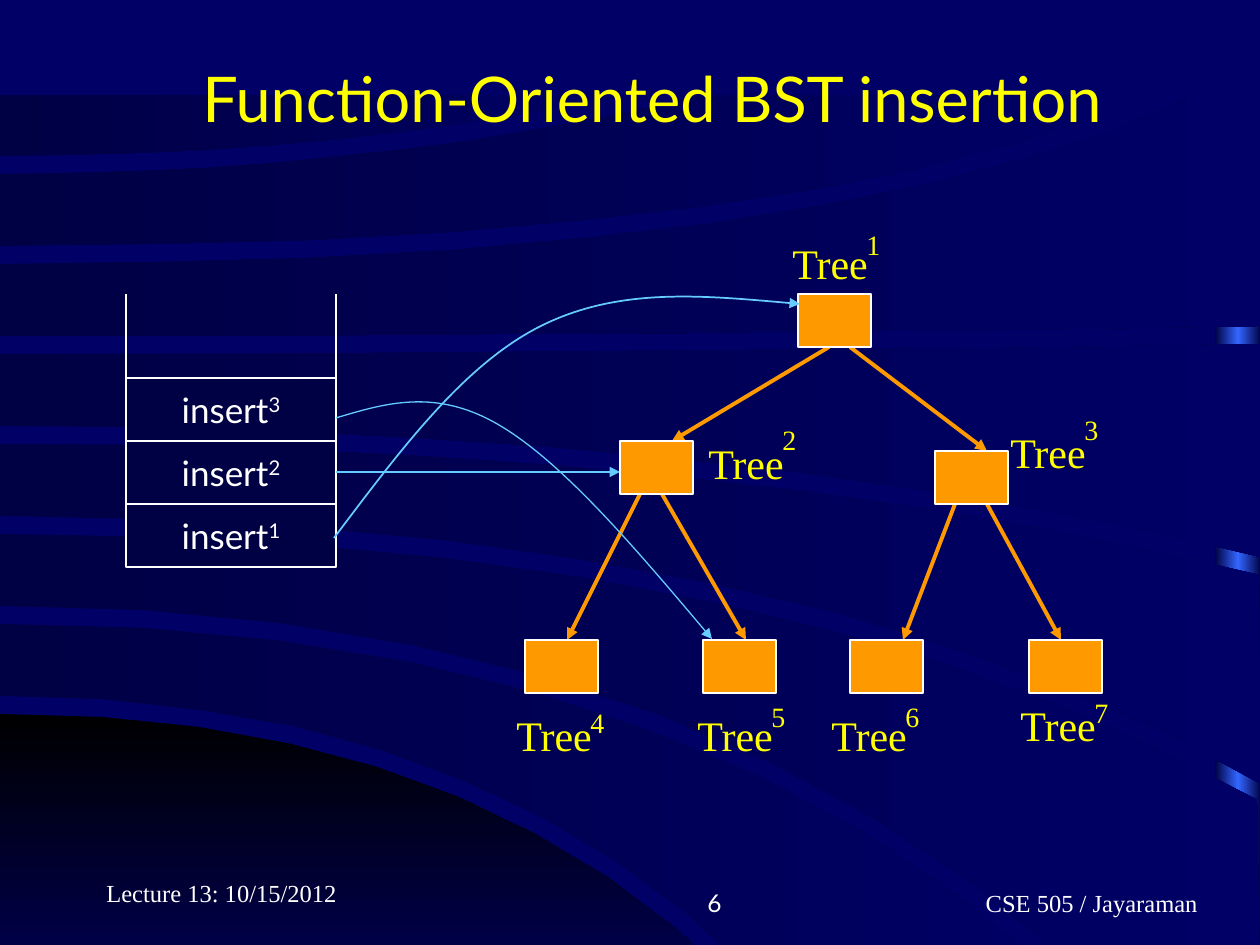
from copy import deepcopy
from math import hypot
from lxml import etree
from pptx import Presentation
from pptx import util as u
from pptx.dml.color import RGBColor
from pptx.enum import shapes, text
from pptx.oxml.ns import qn

NAVY, DARK, WHITE, YELLOW = "000066", "000044", "FFFFFF", "FFFF00"
ORANGE, SKY = "FF9900", "66CCFF"
SERIF, SANS = "Times New Roman", "Lato"
LEFT, CENTER, RIGHT = text.PP_ALIGN.LEFT, text.PP_ALIGN.CENTER, text.PP_ALIGN.RIGHT

# Swooshes of the background lie between seams that leave the left edge level.
TOP, BOTTOM, EDGE = 95, 1041, 1261
SEAM_Y, SEAM_STEP, SEAM_HALF, SEAM_PARTS = 165, 90, 9, 10
SEAMS = [  # x of the bend, end point
    (349, (667, TOP)), (826, (1173, TOP)), (630, (EDGE, 335)), (726, (EDGE, 566)),
    (786, (EDGE, 792)), (735, (1136, BOTTOM)), (523, (801, BOTTOM))]
CORNERS = {1: [(702, TOP)], 2: [(1189, TOP), (EDGE, TOP)], 5: [(EDGE, BOTTOM)]}

NODE_W, NODE_H = 73, 53
NODES = {  # node corner, label corner, rise of the superscript
    "1": ((798, 294), (780, 231), 10),
    "2": ((620, 441), (696, 431), 15),
    "3": ((935, 451), (998, 420), 14),
    "4": ((525, 640), (504, 703), 4),
    "5": ((703, 640), (685, 703), 10),
    "6": ((850, 640), (819, 703), 10),
    "7": ((1029, 640), (1008, 693), 4),
}
BRANCHES = [  # parent, child, x at each end
    ("1", "2", 829, 672), ("1", "3", 850, 987), ("2", "4", 640, 567),
    ("2", "5", 662, 746), ("3", "6", 955, 903), ("3", "7", 987, 1061)]
STACK_X, STACK_Y, STACK_W, FRAME_H, OPEN_TOP = 126, 378, 210, 63, 294
CALLS = ["3", "2", "1"]
CALL_CURVES = [(1, (334, 538), (541, 326), (800, 304)),
               (0.75, (336, 418), (499, 425), (712, 639))]


def px(n):
    return u.Emu(round(n * 914400 / 126))


def rgb(value):
    return RGBColor.from_string(value)


def gradient(sp, colors, angle=0):
    """Fill with evenly spaced colour stops."""
    sp.fill.gradient()
    sp.fill.gradient_angle = angle
    first = sp._element.spPr.find(".//" + qn("a:gs"))
    for _ in range(len(colors) - len(sp.fill.gradient_stops)):
        first.addnext(deepcopy(first))
    for i, (stop, color) in enumerate(zip(sp.fill.gradient_stops, colors)):
        stop.position = i / (len(colors) - 1)
        stop.color.rgb = rgb(color)
    sp.line.fill.background()


def seam_side(index, offset):
    """Points along a quadratic seam, moved sideways by offset."""
    bend, (end_x, end_y) = SEAMS[index]
    start_y = SEAM_Y + index * SEAM_STEP
    points = []
    for i in range(SEAM_PARTS + 1):
        t = i / SEAM_PARTS
        x = 2 * t * (1 - t) * bend + t * t * end_x
        y = start_y + t * t * (end_y - start_y)
        dx = 2 * (1 - 2 * t) * bend + 2 * t * end_x
        dy = 2 * t * (end_y - start_y)
        k = offset / hypot(dx, dy)
        points.append((min(max(x - k * dy, 0), EDGE), min(max(y + k * dx, TOP), BOTTOM)))
    return points


def freeform(points, close=True):
    builder = s.shapes.build_freeform(*points[0], scale=914400 / 126)
    builder.add_line_segments(points[1:], close=close)
    sp = builder.convert_to_shape()
    sp.shadow.inherit = False
    return sp


def rect(x, y, w, h, fill=None):
    sp = s.shapes.add_shape(shapes.MSO_SHAPE.RECTANGLE, px(x), px(y), px(w), px(h))
    sp.shadow.inherit = False
    if fill:
        sp.fill.solid()
        sp.fill.fore_color.rgb = rgb(fill)
        sp.line.color.rgb = rgb(WHITE)
        sp.line.width = u.Pt(1)
    return sp


def stroke(sp, color, width, arrow=True):
    sp.line.color.rgb = rgb(color)
    sp.line.width = u.Pt(width)
    if arrow:
        etree.SubElement(sp.line._get_or_add_ln(), qn("a:tailEnd"), type="triangle")


def line(start, end, color, width, arrow=True):
    c = s.shapes.add_connector(shapes.MSO_CONNECTOR.STRAIGHT,
                               *(px(n) for n in (*start, *end)))
    stroke(c, color, width, arrow)
    etree.SubElement(c._element.spPr, qn("a:effectLst"))


def curve(start, mid, end, color, width):
    """Draw a smooth arrow of two cubic segments that meet at mid."""
    def between(a, b):
        return tuple((m + n) / 2 for m, n in zip(a, b))

    before = tuple(m - (e - b) / 6 for b, m, e in zip(start, mid, end))
    after = tuple(m + (e - b) / 6 for b, m, e in zip(start, mid, end))
    sp = freeform([start, between(start, before), before, mid,
                   after, between(after, end), end], close=False)
    sp.fill.background()
    stroke(sp, color, width)
    segments = sp._element.spPr.findall(".//" + qn("a:lnTo"))
    for i in range(0, len(segments), 3):
        bezier = etree.Element(qn("a:cubicBezTo"))
        segments[i].addprevious(bezier)
        for seg in segments[i:i + 3]:
            bezier.append(seg[0])
            seg.getparent().remove(seg)


def run(p, words, size, font, color):
    r = p.add_run()
    r.text = words
    r.font.size, r.font.name = u.Pt(size), font
    r.font.color.rgb = rgb(color)
    return r


def label(x, y, w, h, words, size, font, color, align=LEFT, footer=False):
    tf = s.shapes.add_textbox(px(x), px(y), px(w), px(h)).text_frame
    tf.word_wrap = footer
    if footer:
        tf.vertical_anchor = text.MSO_ANCHOR.BOTTOM
    else:
        tf.auto_size = text.MSO_AUTO_SIZE.SHAPE_TO_FIT_TEXT
    p = tf.paragraphs[0]
    p.alignment = align
    run(p, words, size, font, color)
    return tf


prs = Presentation()
prs.slide_width, prs.slide_height = px(1260), px(945)
s = prs.slides.add_slide(prs.slide_layouts[6])
s.background.fill.solid()
s.background.fill.fore_color.rgb = rgb(NAVY)

gradient(rect(1215, 97, 46, 945), [DARK, "3366FF", DARK])
last = len(SEAMS) - 1
hill = seam_side(last, SEAM_HALF) + [(0, BOTTOM)]
gradient(freeform(hill), ["000000", NAVY], 270)
for i in range(last, -1, -1):
    upper = seam_side(i - 1, SEAM_HALF) if i else [(0, TOP)]
    lower = seam_side(i, -SEAM_HALF)
    gradient(freeform(upper + CORNERS.get(i, []) + lower[::-1]), [DARK, NAVY])

label(190, 53, 971, 88, "Function-Oriented BST insertion", 36, SANS, YELLOW)
label(94, 851, 262, 63, "Lecture 13: 10/15/2012", 14, SERIF, WHITE, footer=True)
label(472, 861, 262, 63, "6", 14, SANS, WHITE, RIGHT, footer=True)
course = label(829, 861, 399, 63, "CSE 505 / Jayaraman", 14, SERIF, WHITE, CENTER, footer=True)
course.margin_left = px(139)

for parent, child, x0, x1 in BRANCHES:
    line((x0, NODES[parent][0][1] + NODE_H), (x1, NODES[child][0][1]), ORANGE, 2.25)
for number, (node, (x, y), rise) in NODES.items():
    rect(*node, NODE_W, NODE_H, ORANGE)
    label(x, y, 102, 63, "Tree", 24, SERIF, YELLOW)
    label(x + 74, y - rise, 39, 47, number, 16, SERIF, YELLOW)

for i, number in enumerate(CALLS):
    tf = rect(STACK_X, STACK_Y + i * FRAME_H, STACK_W, FRAME_H, DARK).text_frame
    tf.word_wrap = False
    tf.vertical_anchor = text.MSO_ANCHOR.MIDDLE
    p = tf.paragraphs[0]
    p.alignment = CENTER
    run(p, "insert", 20, SANS, WHITE)
    run(p, number, 20, SANS, WHITE).font._element.set("baseline", "30000")
for x in (STACK_X, STACK_X + STACK_W):
    line((x, STACK_Y), (x, OPEN_TOP), WHITE, 0.75, arrow=False)

line((336, 472), (620, 472), SKY, 1)
for width, *points in CALL_CURVES:
    curve(*points, SKY, width)

prs.save("out.pptx")
